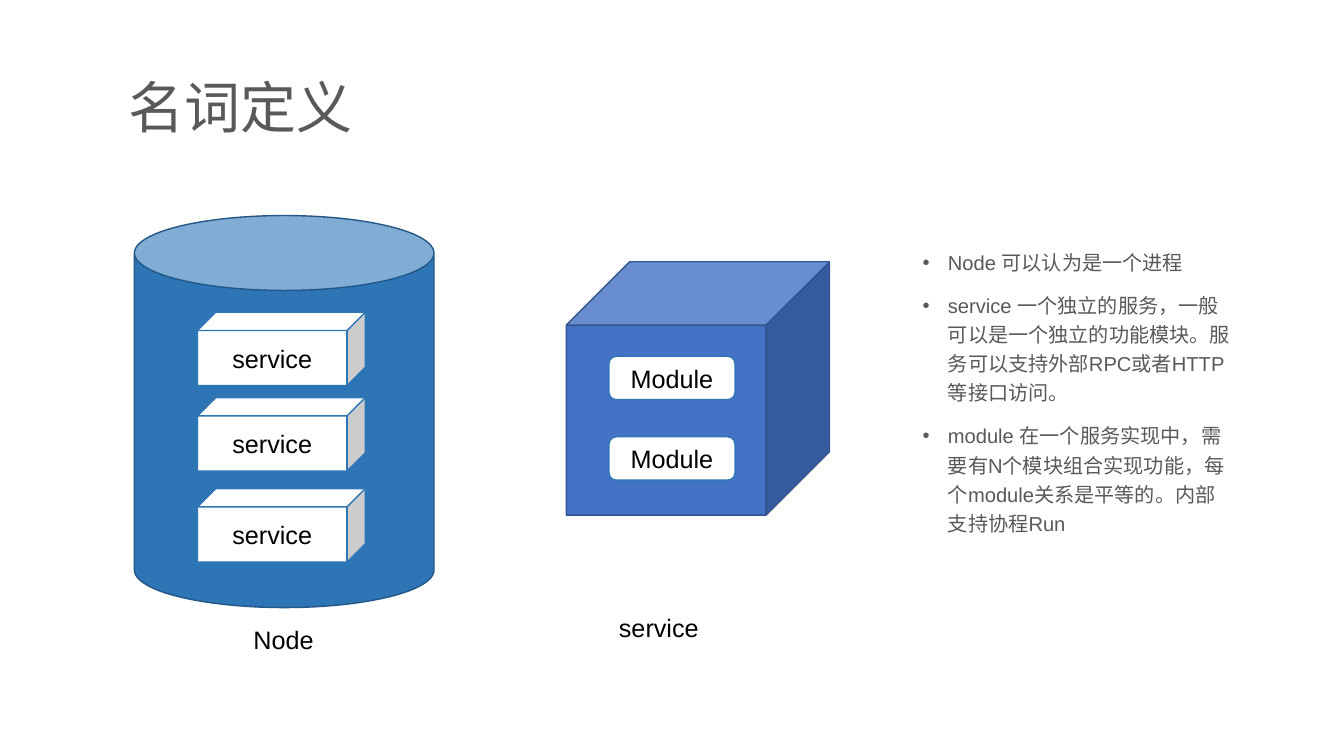
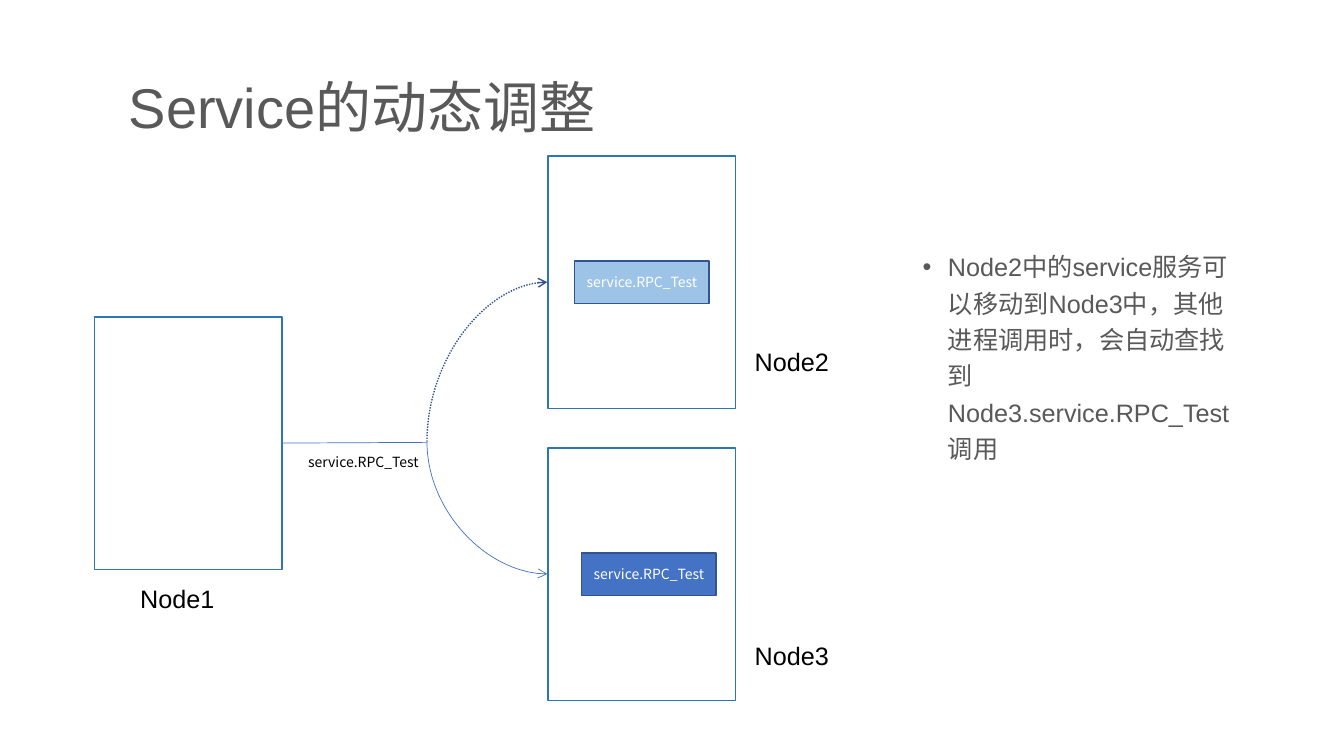
from lxml import etree
from pptx import Presentation
from pptx.dml.color import RGBColor
from pptx.enum.dml import MSO_LINE
from pptx.enum.shapes import MSO_CONNECTOR, MSO_SHAPE
from pptx.enum.text import MSO_ANCHOR, PP_ALIGN
from pptx.oxml.ns import qn
from pptx.util import Pt

CAN, CUBE = MSO_SHAPE.CAN, MSO_SHAPE.CUBE
RECT, ROUND = MSO_SHAPE.RECTANGLE, MSO_SHAPE.ROUNDED_RECTANGLE
LINE, CURVE = MSO_CONNECTOR.STRAIGHT, MSO_CONNECTOR.CURVE
DOTS = MSO_LINE.ROUND_DOT
TOP, MIDDLE = MSO_ANCHOR.TOP, MSO_ANCHOR.MIDDLE
LEFT, CENTER = PP_ALIGN.LEFT, PP_ALIGN.CENTER
SANS, CJK = "Arial", "Noto Sans CJK SC"

COLORS = {
    "white": "FFFFFF", "black": "000000", "gray": "595959",
    "blue": "2E75B6", "deep": "225787", "royal": "4472C4",
    "navy": "325491", "pale": "9DC3E6",
}


def color(name):
    return RGBColor.from_string(COLORS[name])


class Deck:
    """Holds the shared style and the current slide."""

    def __init__(self):
        self.prs = Presentation()
        self.prs.slide_width, self.prs.slide_height = Pt(960), Pt(540)
        self.slide = None

    def page(self, title):
        self.slide = self.prs.slides.add_slide(self.prs.slide_layouts[6])
        box = self.label(title, 85, 31, 790, 80, 40, "gray", wrap=True)
        box.text_frame.vertical_anchor = MIDDLE
        box.text_frame.paragraphs[0].line_spacing = 1.2

    def style(self, par, size, ink, font=SANS, align=LEFT):
        par.alignment = align
        par.font.size, par.font.name = Pt(size), font
        par.font.color.rgb = color(ink)
        for run in par.runs:
            props = run._r.get_or_add_rPr()
            etree.SubElement(props, qn("a:ea"), typeface=font)

    def label(self, text, x, y, w, h=29, size=18, ink="black", font=SANS,
              wrap=False):
        box = self.slide.shapes.add_textbox(Pt(x), Pt(y), Pt(w), Pt(h))
        frame = box.text_frame
        frame.word_wrap, frame.vertical_anchor = wrap, TOP
        frame.text = text
        self.style(frame.paragraphs[0], size, ink, font)
        return box

    def shape(self, kind, x, y, w, h, fill="white", edge="blue", text="",
              size=18, ink="black", font=SANS):
        item = self.slide.shapes.add_shape(kind, Pt(x), Pt(y), Pt(w), Pt(h))
        item.shadow.inherit = False
        item.fill.solid()
        item.fill.fore_color.rgb = color(fill)
        item.line.color.rgb = color(edge)
        item.line.width = Pt(1)
        if text:
            item.text_frame.text = text
            item.text_frame.vertical_anchor = MIDDLE
            self.style(item.text_frame.paragraphs[0], size, ink, font, CENTER)

    def notes(self, items, size):
        """Bulleted column at the right."""
        box = self.slide.shapes.add_textbox(Pt(652), Pt(172), Pt(236), Pt(211))
        frame = box.text_frame
        frame.word_wrap = True
        frame.text = "\n".join(items)
        for par in frame.paragraphs:
            par.line_spacing, par.space_before = 1.2, Pt(10)
            self.style(par, size, "gray")
            props = par._p.get_or_add_pPr()
            props.set("marL", str(Pt(18)))
            props.set("indent", str(-Pt(18)))
            last = props.find(qn("a:defRPr"))
            last.addprevious(etree.Element(qn("a:buFont"), typeface=SANS))
            last.addprevious(etree.Element(qn("a:buChar"), char="•"))

    def link(self, kind, x1, y1, x2, y2, ink, width):
        item = self.slide.shapes.add_connector(
            kind, Pt(x1), Pt(y1), Pt(x2), Pt(y2))
        item.line.color.rgb = color(ink)
        item.line.width = Pt(width)
        etree.SubElement(item._element.spPr, qn("a:effectLst"))
        return item

    def arc(self, x1, y1, x2, y2, ink, width, dash=None):
        """Arrow that leaves vertically and arrives from the left."""
        mid_x, mid_y = (x1 + x2) / 2, (y1 + y2) / 2
        half_w, half_h = abs(y2 - y1) / 2, (x2 - x1) / 2
        rise = y2 < y1
        if not rise:
            half_h = -half_h
        item = self.link(CURVE, mid_x - half_w, mid_y - half_h,
                         mid_x + half_w, mid_y + half_h, ink, width)
        props = item._element.spPr
        props.find(qn("a:xfrm")).set("rot", "16200000" if rise else "5400000")
        props.find(qn("a:prstGeom")).set("prst", "curvedConnector2")
        if dash:
            item.line.dash_style = dash
        etree.SubElement(props.find(qn("a:ln")), qn("a:tailEnd"), type="arrow")


def terms(deck):
    deck.page("名词定义")
    deck.shape(CAN, 96, 154, 214, 280, "blue", "deep")
    for y in (223, 284, 349):
        deck.shape(CUBE, 141, y, 120, 52.5, text="service")
    deck.label("Node", 174, 442.5, 58)
    deck.shape(CUBE, 404.5, 187, 188, 181, "royal", "navy")
    deck.label("service", 435, 434, 201, wrap=True)
    for y in (254.5, 312):
        deck.shape(ROUND, 435, y, 90, 31, text="Module")
    deck.notes([
        "Node 可以认为是一个进程",
        "service 一个独立的服务，一般可以是一个独立的功能模块。"
        "服务可以支持外部RPC或者HTTP等接口访问。",
        "module 在一个服务实现中，需要有N个模块组合实现功能，"
        "每个module关系是平等的。内部支持协程Run",
    ], 14.4)


def moves(deck):
    call = "service.RPC_Test"
    deck.page("Service的动态调整")
    for name, x, y, name_x, name_y in (
            ("Node1", 67.5, 226.5, 93, 413),
            ("Node2", 391.5, 111.5, 532, 244),
            ("Node3", 391.5, 320, 532, 454)):
        deck.shape(RECT, x, y, 134, 180.5)
        deck.label(name, name_x, name_y, 68)
    for x, y, fill in ((410.5, 186.5, "pale"), (415.5, 395, "royal")):
        deck.shape(RECT, x, y, 96, 30.5, fill, "navy", call, 10, "white", CJK)
    deck.link(LINE, 201, 316.5, 305, 316, "royal", 0.5)
    deck.label(call, 213, 320.5, 110, 19, 10, font=CJK, wrap=True)
    deck.arc(305, 315.5, 391, 201.5, "navy", 1, DOTS)
    deck.arc(305, 315.5, 391, 410, "royal", 0.5)
    deck.notes(["Node2中的service服务可以移动到Node3中，其他进程调用时，"
                "会自动查找到Node3.service.RPC_Test调用"], 18)


def main():
    deck = Deck()
    terms(deck)
    moves(deck)
    deck.prs.save("out.pptx")


if __name__ == "__main__":
    main()
